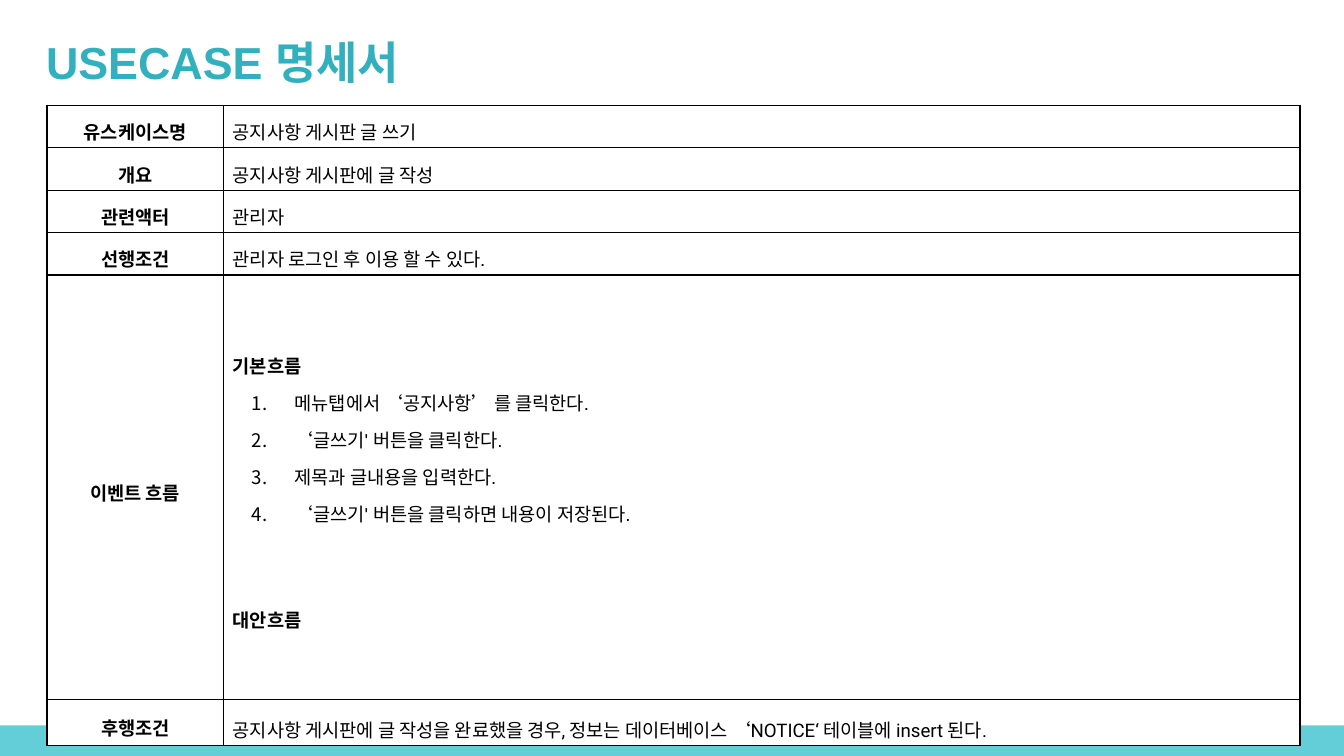
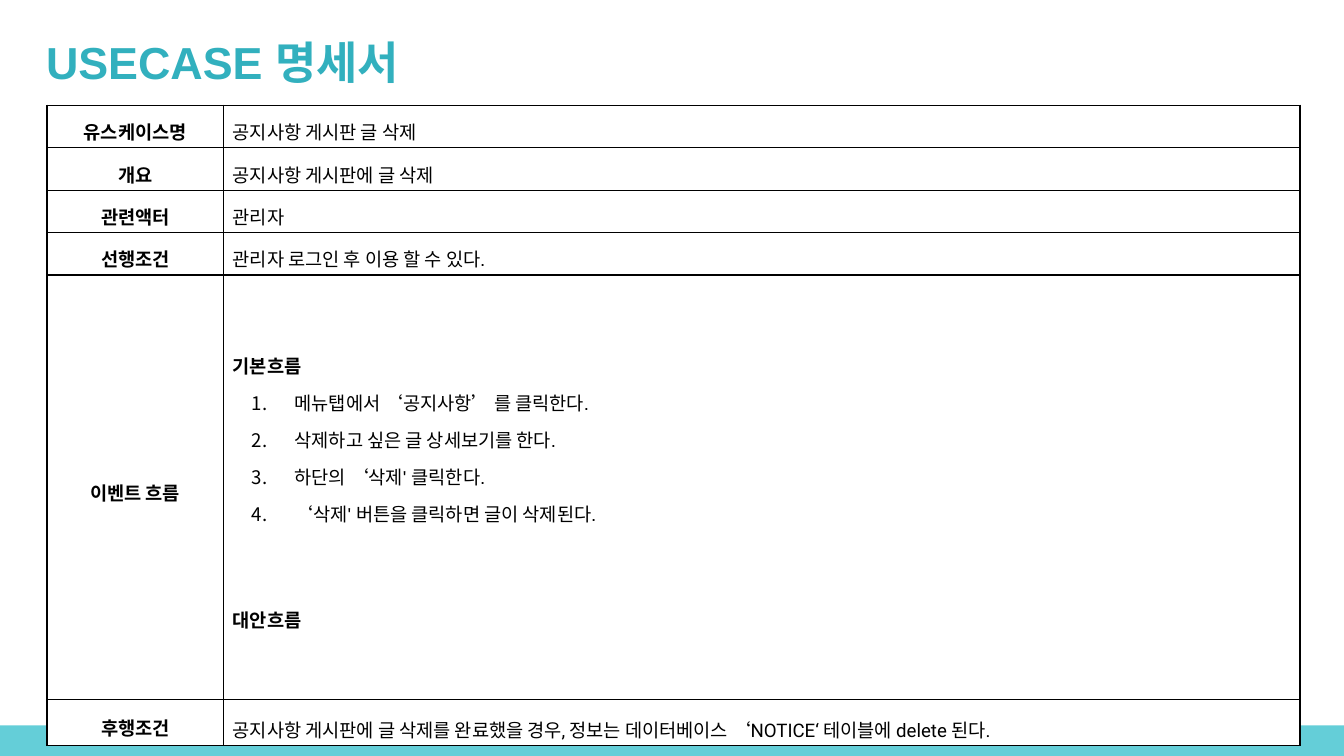
"""Build two use case specification slides."""
import lxml.etree
import pptx
import pptx.dml.color
import pptx.enum.shapes
import pptx.enum.text
import pptx.oxml.ns
import pptx.util

Cm = pptx.util.Cm
Pt = pptx.util.Pt
ALIGN = pptx.enum.text.PP_ALIGN
MIDDLE = pptx.enum.text.MSO_ANCHOR.MIDDLE


def color(code):
    return pptx.dml.color.RGBColor.from_string(code)


def add(parent, tag, **attrs):
    return lxml.etree.SubElement(parent, pptx.oxml.ns.qn(tag), **attrs)


class Deck:
    teal, aqua, ink, paper = "32B0BE", "64CED8", "000000", "FFFFFF"
    face = "Arial"

    def __init__(self):
        self.show = pptx.Presentation()
        self.show.slide_width = Cm(25.4)
        self.show.slide_height = Cm(14.29)
        self.slide = None

    def page(self, title):
        self.slide = self.show.slides.add_slide(self.show.slide_layouts[5])
        self.band()
        self.title(title)

    def band(self):
        rect = pptx.enum.shapes.MSO_SHAPE.RECTANGLE
        band = self.slide.shapes.add_shape(rect, 0, Cm(13.71), Cm(25.4), Cm(0.58))
        band.shadow.inherit = False
        band.fill.solid()
        band.fill.fore_color.rgb = color(self.aqua)
        band.line.fill.background()

    def title(self, text):
        box = self.slide.shapes.title
        box.left, box.top, box.width, box.height = Cm(0.69), Cm(0.48), Cm(24.1), Cm(1.5)
        frame = box.text_frame
        frame.text = text
        frame.word_wrap = True
        frame.auto_size = pptx.enum.text.MSO_AUTO_SIZE.NONE
        frame.vertical_anchor = MIDDLE
        frame.margin_left = frame.margin_right = Cm(0.18)
        frame.margin_top = frame.margin_bottom = Cm(0.1)
        self.style(frame.paragraphs[0], 24, self.teal, True, 0.9)

    def style(self, para, size, ink, bold, lead, align=ALIGN.LEFT, face=face):
        para.alignment = align
        para.line_spacing = lead
        for run in para.runs:
            font = run.font
            font.name, font.size, font.bold = face, Pt(size), bold
            font.color.rgb = color(ink)

    def table(self, widths, heights):
        grid = self.slide.shapes.add_table(
            len(heights), len(widths), Cm(0.89), Cm(1.99),
            Cm(sum(widths)), Cm(sum(heights))).table
        grid.first_row = grid.horz_banding = False
        for col, width in zip(grid.columns, widths):
            col.width = Cm(width)
        for row, height in zip(grid.rows, heights):
            row.height = Cm(height)
        return grid

    def cell(self, cell, text, left=0.18):
        cell.margin_left, cell.margin_right = Cm(left), Cm(0.08)
        cell.margin_top = cell.margin_bottom = Cm(0.05)
        cell.vertical_anchor = MIDDLE
        for side in "LRTB":
            line = add(cell._tc.get_or_add_tcPr(), f"a:ln{side}", w=str(Pt(0.75)))
            add(add(line, "a:solidFill"), "a:srgbClr", val=self.ink)
        cell.fill.solid()
        cell.fill.fore_color.rgb = color(self.paper)
        cell.text_frame.text = text
        return cell.text_frame.paragraphs

    def label(self, cell, text):
        para = self.cell(cell, text, 0.08)[0]
        self.style(para, 10, self.ink, True, 1.38, ALIGN.CENTER)

    def value(self, cell, text, lead=1.38, face=face):
        para = self.cell(cell, text)[0]
        self.style(para, 10, self.ink, False, lead, face=face)

    def flow(self, cell, steps):
        head, *items, tail = self.cell(cell, "\n".join(["기본흐름", *steps, "대안흐름"]))
        self.style(head, 10, self.ink, True, 1.38)
        for item in items:
            self.number(item)
            self.style(item, 10, self.ink, False, 1.38)
        self.style(tail, 10, self.ink, True, 1.5)
        tail.space_before = Pt(35)

    def number(self, para):
        props = para._p.get_or_add_pPr()
        props.set("marL", str(Cm(1.17)))
        props.set("indent", str(-Cm(0.81)))
        add(add(props, "a:buClr"), "a:srgbClr", val=self.ink)
        add(props, "a:buFont", typeface=self.face)
        add(props, "a:buAutoNum", type="arabicPeriod")

    def case(self, name, brief, steps, result):
        self.page("USECASE 명세서")
        grid = self.table([3.33, 20.35], [0.66] * 4 + [8.03, 0.66])
        labels = ["유스케이스명", "개요", "관련액터", "선행조건", "이벤트 흐름", "후행조건"]
        for row, text in enumerate(labels):
            self.label(grid.cell(row, 0), text)
        facts = [name, brief, "관리자", "관리자 로그인 후 이용 할 수 있다."]
        for row, text in enumerate(facts):
            self.value(grid.cell(row, 1), text)
        self.flow(grid.cell(4, 1), steps)
        self.value(grid.cell(5, 1), result, 1.5, "Roboto")


def main():
    deck = Deck()
    menu = "메뉴탭에서 ‘공지사항’ 를 클릭한다."
    deck.case(
        "공지사항 게시판 글 쓰기", "공지사항 게시판에 글 작성",
        [menu, "‘글쓰기' 버튼을 클릭한다.", "제목과 글내용을 입력한다.",
         "‘글쓰기' 버튼을 클릭하면 내용이 저장된다."],
        "공지사항 게시판에 글 작성을 완료했을 경우, 정보는 데이터베이스 ‘NOTICE‘ 테이블에 insert 된다.")
    deck.case(
        "공지사항 게시판 글 삭제", "공지사항 게시판에 글 삭제",
        [menu, "삭제하고 싶은 글 상세보기를 한다.", "하단의 ‘삭제' 클릭한다.",
         "‘삭제' 버튼을 클릭하면 글이 삭제된다."],
        "공지사항 게시판에 글 삭제를 완료했을 경우, 정보는 데이터베이스 ‘NOTICE‘ 테이블에 delete 된다.")
    deck.show.save("out.pptx")


if __name__ == "__main__":
    main()
